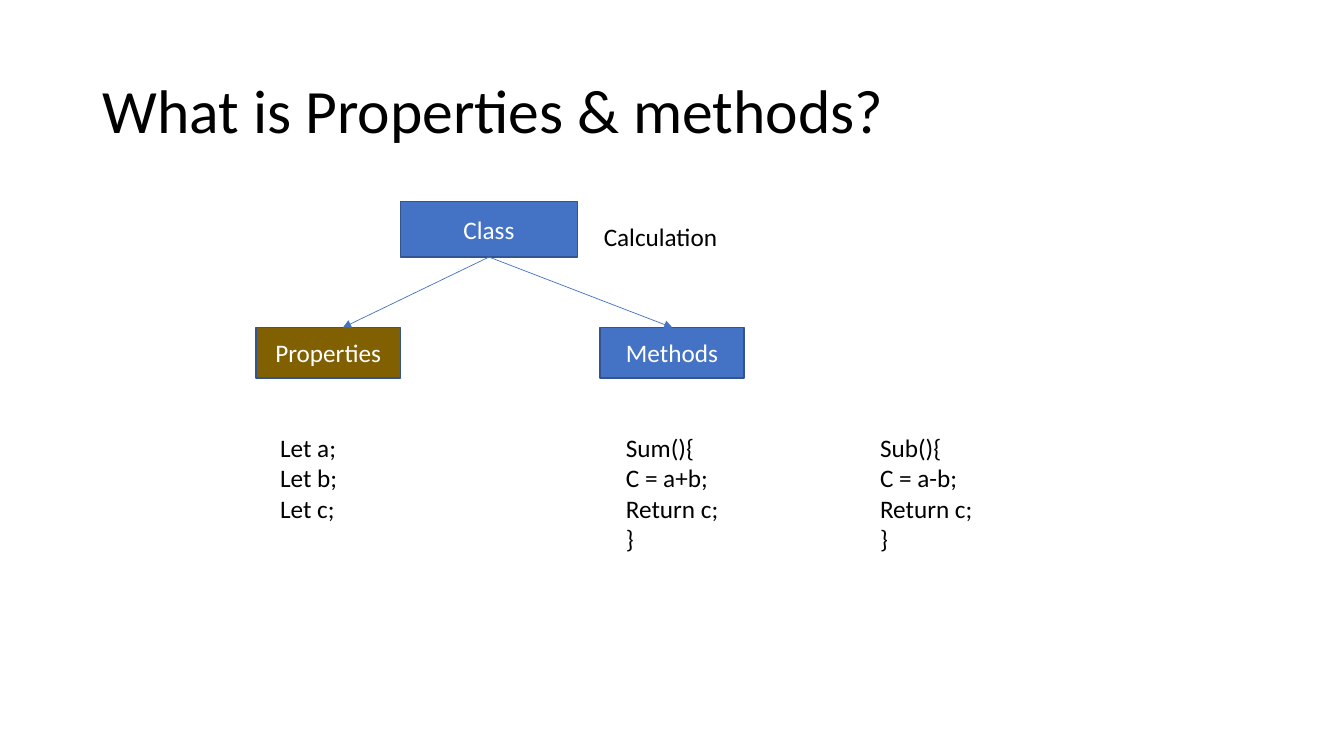
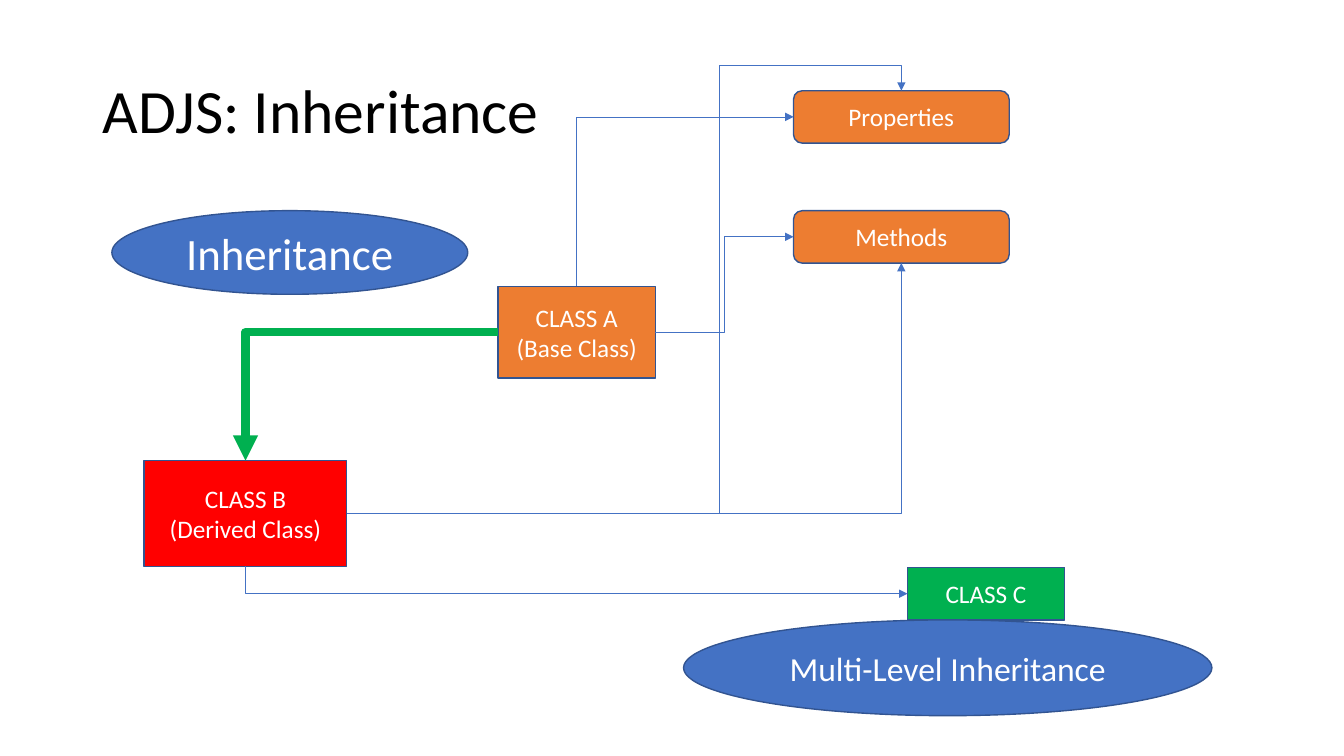
from pptx import Presentation
from pptx.dml.color import RGBColor
from pptx.enum.shapes import MSO_CONNECTOR as Conn, MSO_SHAPE as Geo
from pptx.enum.text import MSO_ANCHOR as Anchor, PP_ALIGN as Align
from pptx.oxml.ns import qn
from pptx.util import Inches, Pt
from lxml.etree import SubElement

FONT = "Calibri"
COLORS = {"blue": "4472C4", "edge": "325491", "brown": "806000",
          "orange": "ED7D31", "red": "FF0000", "green": "00B050",
          "white": "FFFFFF", "black": "000000"}
TOP, LEFT, BOTTOM, RIGHT = range(4)  # connection sites of a box
TITLE_BOX = (0.92, 0.4, 11.5, 1.45)

# Nodes: name, lines, shape, box, fill, text size
# Links: start node, site, end node, site, colour, width, bend, adjustments
SLIDES = [
    {"title": "What is Properties & methods?",
     "nodes": [
         ("class", ["Class"], Geo.RECTANGLE, (3.97, 2, 1.76, 0.55), "blue", 18),
         ("props", ["Properties"], Geo.RECTANGLE, (2.54, 3.25, 1.43, 0.5), "brown", 18),
         ("methods", ["Methods"], Geo.RECTANGLE, (5.95, 3.25, 1.43, 0.5), "blue", 18)],
     "arrows": [((4.85, 2.55), (3.4, 3.25)), ((4.85, 2.55), (6.67, 3.25))],
     "links": [],
     "notes": [
         (["Let a;", "Let b;", "Let c;"], (2.68, 4.24, 0.78, 1.01)),
         (["Calculation"], (5.89, 2.15, 3.43, 0.4)),
         (["Sum(){", "C = a+b;", "Return c;", "}"], (6.11, 4.24, 1.13, 1.31)),
         (["Sub(){", "C = a-b;", "Return c;", "}"], (8.63, 4.24, 1.13, 1.31))]},
    {"title": "ADJS: Inheritance",
     "nodes": [
         ("A", ["CLASS A", "(Base Class)"], Geo.RECTANGLE, (4.94, 2.84, 1.56, 0.91), "orange", 18),
         ("props", ["Properties"], Geo.ROUNDED_RECTANGLE, (7.87, 0.9, 2.14, 0.52), "orange", 18),
         ("methods", ["Methods"], Geo.ROUNDED_RECTANGLE, (7.87, 2.09, 2.14, 0.52), "orange", 18),
         ("B", ["CLASS B", "(Derived Class)"], Geo.RECTANGLE, (1.43, 4.57, 2.01, 1.05), "red", 18),
         ("C", ["CLASS C"], Geo.RECTANGLE, (9, 5.63, 1.56, 0.52), "green", 18),
         ("single", ["Inheritance"], Geo.OVAL, (1.11, 2.09, 3.53, 0.83), "blue", 32),
         ("multi", ["Multi-Level Inheritance"], Geo.OVAL, (6.78, 6.15, 5.24, 0.95), "blue", 24)],
     "arrows": [],
     "links": [
         ("A", TOP, "props", LEFT, "blue", 0.5, 2, []),
         ("A", RIGHT, "methods", LEFT, "blue", 0.5, 3, []),
         ("A", LEFT, "B", TOP, "green", 6, 2, []),
         ("B", RIGHT, "props", TOP, "blue", 0.5, 4, [67100, 106000]),
         ("B", RIGHT, "methods", BOTTOM, "blue", 0.5, 2, []),
         ("B", BOTTOM, "C", LEFT, "blue", 0.5, 2, [])],
     "notes": []},
]


def color(name):
    return RGBColor.from_string(COLORS[name])


def write(frame, lines, size, tint, align=Align.LEFT, space=None):
    for i, line in enumerate(lines):
        para = frame.paragraphs[0] if i == 0 else frame.add_paragraph()
        para.alignment = align
        if space:
            para.line_spacing = space
        run = para.add_run()
        run.text = line
        run.font.name, run.font.size = FONT, Pt(size)
        run.font.color.rgb = color(tint)


def add_text(slide, lines, box, size=18, anchor=Anchor.TOP, wrap=False, space=None):
    frame = slide.shapes.add_textbox(*map(Inches, box)).text_frame
    frame.word_wrap = wrap
    frame.vertical_anchor = anchor
    write(frame, lines, size, "black", space=space)


def add_node(slide, lines, geo, box, fill, size):
    shape = slide.shapes.add_shape(geo, *map(Inches, box))
    shape.shadow.inherit = False
    shape.fill.solid()
    shape.fill.fore_color.rgb = color(fill)
    shape.line.color.rgb = color("edge")
    shape.line.width = Pt(1)
    shape.text_frame.word_wrap = True
    shape.text_frame.vertical_anchor = Anchor.MIDDLE
    write(shape.text_frame, lines, size, "white", Align.CENTER)
    return shape


def add_arrow(slide, kind, start, end, tint="blue", width=0.5):
    arrow = slide.shapes.add_connector(kind, *start, *end)
    arrow.line.color.rgb = color(tint)
    arrow.line.width = Pt(width)
    SubElement(arrow.line._get_or_add_ln(), qn("a:tailEnd"), type="triangle")
    SubElement(arrow._element.spPr, qn("a:effectLst"))
    return arrow


def site_point(shape, site):
    fx, fy = [(0.5, 0), (0, 0.5), (0.5, 1), (1, 0.5)][site]
    return int(shape.left + fx * shape.width), int(shape.top + fy * shape.height)


def add_link(slide, first, site, last, goal, tint, width, bend, adjust):
    start, end = site_point(first, site), site_point(last, goal)
    arrow = add_arrow(slide, Conn.ELBOW, start, end, tint, width)
    arrow.begin_connect(first, site)
    arrow.end_connect(last, goal)
    # Turn the preset so that it leaves the chosen side
    dx, dy = end[0] - start[0], end[1] - start[1]
    wide, high = abs(dx), abs(dy)
    if site in (TOP, BOTTOM):
        wide, high = high, wide
        turn, flip_h, flip_v = (90, 1, 1) if dy < 0 else (270, 1, 0)
    else:
        turn, flip_h, flip_v = 180 * (dx < 0), 0, int((dx < 0) != (dy < 0))
    frame = arrow._element.spPr.find(qn("a:xfrm"))
    for key, value in (("rot", turn * 60000), ("flipH", flip_h), ("flipV", flip_v)):
        frame.set(key, str(value))
    arrow.left = (start[0] + end[0] - wide) // 2
    arrow.top = (start[1] + end[1] - high) // 2
    arrow.width, arrow.height = wide, high
    # Set the number of bends and where they fall
    preset = arrow._element.spPr.find(qn("a:prstGeom"))
    preset.set("prst", f"bentConnector{bend}")
    guides = preset.find(qn("a:avLst"))
    if guides is None:
        guides = SubElement(preset, qn("a:avLst"))
    for i, value in enumerate(adjust, 1):
        SubElement(guides, qn("a:gd"), name=f"adj{i}", fmla=f"val {value}")


def main():
    deck = Presentation()
    deck.slide_width, deck.slide_height = Inches(13.33), Inches(7.5)
    for page in SLIDES:
        slide = deck.slides.add_slide(deck.slide_layouts[6])
        add_text(slide, [page["title"]], TITLE_BOX, 44, Anchor.MIDDLE, True, 0.9)
        nodes = {name: add_node(slide, *rest) for name, *rest in page["nodes"]}
        for start, end in page["arrows"]:
            add_arrow(slide, Conn.STRAIGHT, map(Inches, start), map(Inches, end))
        for first, site, last, goal, *style in page["links"]:
            add_link(slide, nodes[first], site, nodes[last], goal, *style)
        for lines, box in page["notes"]:
            add_text(slide, lines, box)
    deck.save("out.pptx")


if __name__ == "__main__":
    main()
